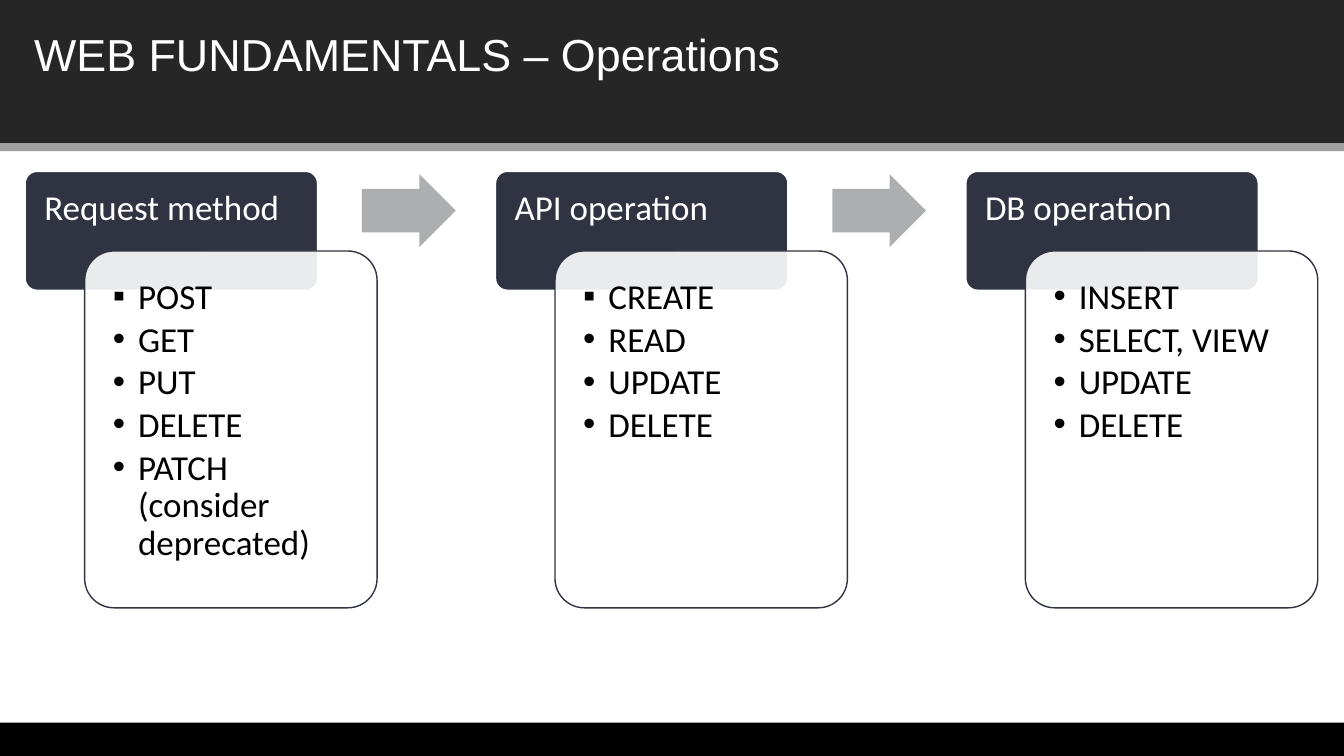
from dataclasses import dataclass

import pptx
import pptx.dml.color
import pptx.enum.shapes
import pptx.enum.text
import pptx.oxml.ns
import pptx.util
from lxml import etree

Inches = pptx.util.Inches
Pt = pptx.util.Pt
ShapeType = pptx.enum.shapes.MSO_SHAPE
Box = tuple[float, float, float, float]

COLORS = {
    "header": "262626",
    "rule": "9F9F9F",
    "footer": "000000",
    "navy": "2F3342",
    "arrow": "ADAEB0",
    "white": "FFFFFF",
    "black": "000000",
}
COLUMN_LEFT = 0.25
COLUMN_PITCH = 4.665
INSET = 0.19


@dataclass(frozen=True)
class Column:
    heading: str
    items: tuple[str, ...]
    first_bullet: str = "▪"


COLUMNS = (
    Column("Request method", ("POST", "GET", "PUT", "DELETE", "PATCH (consider deprecated)")),
    Column("API operation", ("CREATE", "READ", "UPDATE", "DELETE")),
    Column("DB operation", ("INSERT", "SELECT, VIEW", "UPDATE", "DELETE"), "•"),
)


def rgb(name: str) -> pptx.dml.color.RGBColor:
    return pptx.dml.color.RGBColor.from_string(COLORS[name])


def add_block(slide, kind, box: Box, fill: str, line: str | None = None,
              adjustments: tuple[float, ...] = ()):
    shape = slide.shapes.add_shape(kind, *map(Inches, box))
    shape.shadow.inherit = False
    shape.fill.solid()
    shape.fill.fore_color.rgb = rgb(fill)
    if line:
        shape.line.color.rgb = rgb(line)
        shape.line.width = Pt(1)
    else:
        shape.line.fill.background()
    for index, value in enumerate(adjustments):
        shape.adjustments[index] = value
    return shape


def set_opacity(shape, percent: int) -> None:
    color = shape.fill._xPr.find(".//" + pptx.oxml.ns.qn("a:srgbClr"))
    etree.SubElement(color, pptx.oxml.ns.qn("a:alpha"), val=str(percent * 1000))


def add_text(slide, box: Box, lines: tuple[str, ...], font: str, size: float, color: str,
             insets: Box = (0.1, 0.05, 0.1, 0.05)):
    frame = slide.shapes.add_textbox(*map(Inches, box)).text_frame
    frame.word_wrap = True
    frame.vertical_anchor = pptx.enum.text.MSO_ANCHOR.TOP
    (frame.margin_left, frame.margin_top,
     frame.margin_right, frame.margin_bottom) = map(Inches, insets)
    for index, line in enumerate(lines):
        paragraph = frame.add_paragraph() if index else frame.paragraphs[0]
        paragraph.text = line
        paragraph.font.name = font
        paragraph.font.size = Pt(size)
        paragraph.font.color.rgb = rgb(color)
    return frame


def add_bullet(paragraph, character: str) -> None:
    properties = paragraph._p.get_or_add_pPr()
    properties.set("marL", str(Inches(0.25)))
    properties.set("indent", str(Inches(-0.25)))
    bullet_font = etree.Element(pptx.oxml.ns.qn("a:buFont"), typeface="Arial")
    bullet = etree.Element(pptx.oxml.ns.qn("a:buChar"), char=character)
    # Bullet elements come before the default run properties
    defaults = properties.find(pptx.oxml.ns.qn("a:defRPr"))
    defaults.addprevious(bullet_font)
    defaults.addprevious(bullet)


def add_column(slide, column: Column, left: float) -> None:
    # Heading card
    add_block(slide, ShapeType.ROUNDED_RECTANGLE, (left, 1.7, 2.9, 1.18),
              "navy", "white", (0.1,))
    heading = add_text(slide, (left, 1.7, 2.9, 0.79), (column.heading,), "Calibri", 25,
                       "white", (INSET, INSET, INSET, 0.1))
    heading.paragraphs[0].line_spacing = 0.9

    # Translucent list card
    card = add_block(slide, ShapeType.ROUNDED_RECTANGLE, (left + 0.59, 2.49, 2.9, 3.54),
                     "white", "navy", (0.1,))
    set_opacity(card, 90)
    items = add_text(slide, (left + 0.68, 2.58, 2.73, 3.37), column.items, "Calibri", 25,
                     "black", (INSET,) * 4)
    for index, paragraph in enumerate(items.paragraphs):
        add_bullet(paragraph, "•" if index else column.first_bullet)
        paragraph.level = 1
        paragraph.line_spacing = 0.9
        paragraph.space_after = Pt(3.5)


def main() -> None:
    presentation = pptx.Presentation()
    presentation.slide_width = Inches(13.33)
    presentation.slide_height = Inches(7.5)
    slide = presentation.slides.add_slide(presentation.slide_layouts[6])

    # Header and footer bands
    add_block(slide, ShapeType.RECTANGLE, (-0.01, -0.01, 13.34, 1.43), "header")
    title = add_text(slide, (0.24, 0.22, 12.84, 0.64), ("WEB FUNDAMENTALS – Operations",),
                     "Arial", 32, "white")
    title.auto_size = pptx.enum.text.MSO_AUTO_SIZE.SHAPE_TO_FIT_TEXT
    add_block(slide, ShapeType.RECTANGLE, (-0.01, 1.42, 13.34, 0.08), "rule")
    add_block(slide, ShapeType.RECTANGLE, (-0.02, 7.17, 13.35, 0.33), "footer")

    # Columns joined by arrows
    for index, column in enumerate(COLUMNS):
        left = COLUMN_LEFT + index * COLUMN_PITCH
        add_column(slide, column, left)
        if index < len(COLUMNS) - 1:
            add_block(slide, ShapeType.RIGHT_ARROW, (left + 3.34, 1.73, 0.93, 0.72),
                      "arrow", adjustments=(0.6, 0.5))

    presentation.save("out.pptx")


if __name__ == "__main__":
    main()
